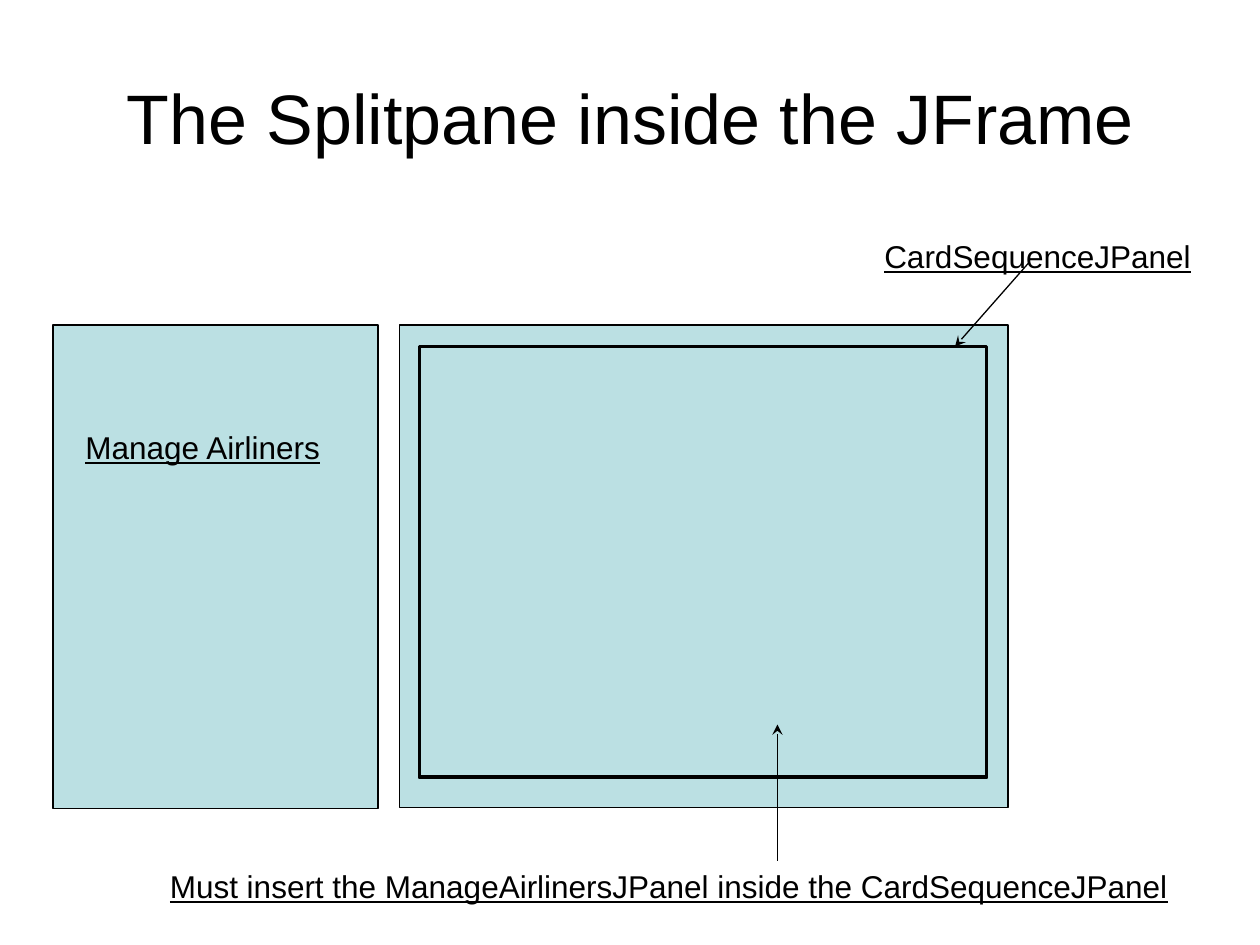
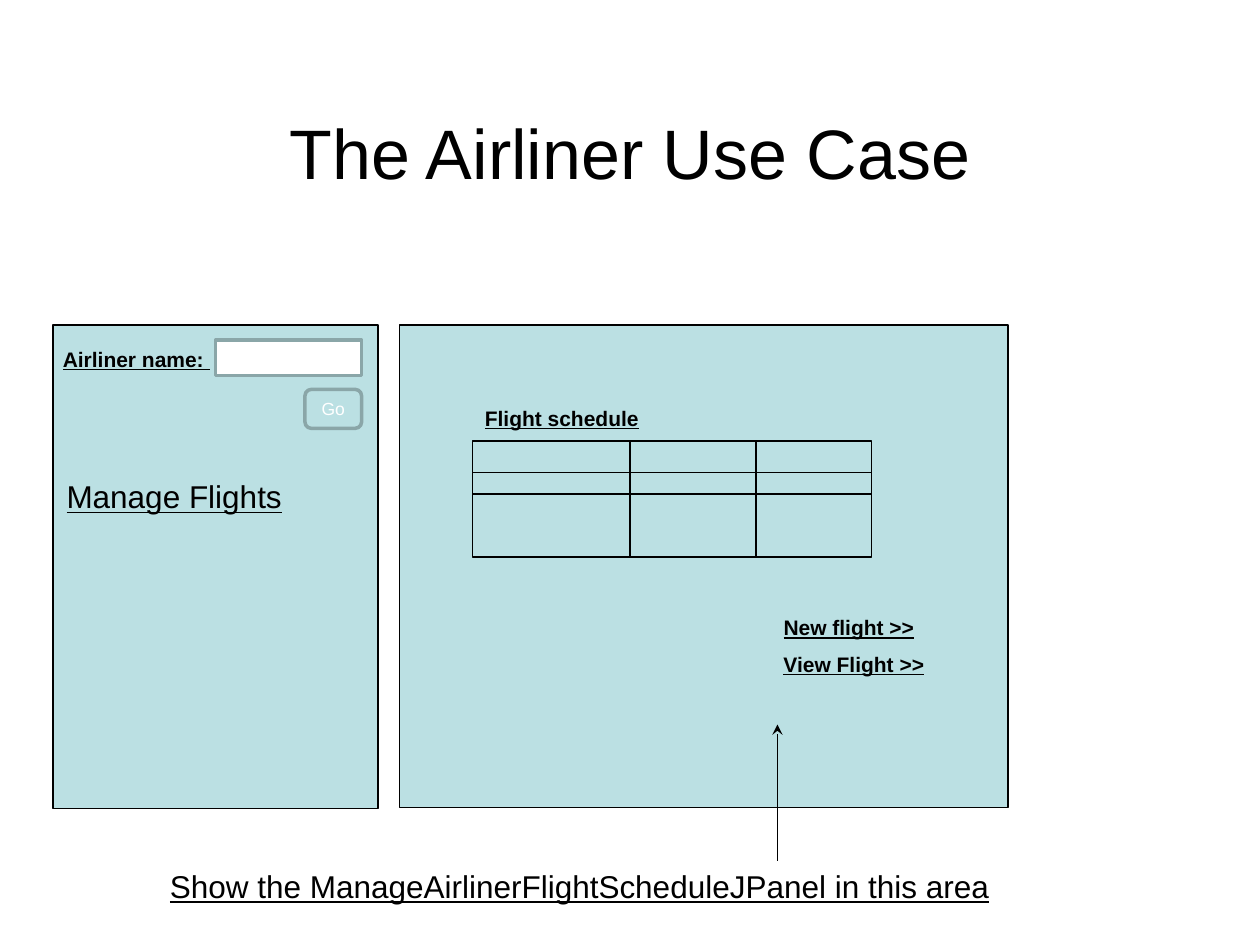
import dataclasses

import pptx
import pptx.dml.color
import pptx.enum.shapes
import pptx.enum.text
import pptx.oxml.ns
import pptx.util
from lxml import etree

Inches = pptx.util.Inches
Pt = pptx.util.Pt
Shape = pptx.enum.shapes.MSO_SHAPE
Align = pptx.enum.text.PP_ALIGN
Anchor = pptx.enum.text.MSO_ANCHOR
qn = pptx.oxml.ns.qn


@dataclasses.dataclass(frozen=True)
class Theme:
    font: str = "Arial"
    ink: str = "000000"
    paper: str = "FFFFFF"
    pane: str = "BBE0E3"
    control: str = "8AA6A8"
    title_size: float = 40
    label_size: float = 18
    field_size: float = 12
    button_size: float = 10
    thin: float = 0.75
    control_line: float = 2
    thick: float = 2.25


class Deck:
    """Draws user interface sketches in one style on the current slide."""

    def __init__(self, theme):
        self.theme = theme
        self.presentation = pptx.Presentation()
        self.presentation.slide_width = Inches(10)
        self.presentation.slide_height = Inches(7.5)
        self.slide = None

    def color(self, value):
        return pptx.dml.color.RGBColor.from_string(value)

    def set_text(self, frame, text, size, color, align=Align.LEFT, bold=False, underline=False):
        paragraph = frame.paragraphs[0]
        paragraph.text = text
        paragraph.alignment = align
        font = paragraph.font
        font.name = self.theme.font
        font.size = Pt(size)
        font.bold = bold
        font.underline = underline
        font.color.rgb = self.color(color)

    def add_slide(self, title, title_top):
        self.slide = self.presentation.slides.add_slide(self.presentation.slide_layouts[6])
        heading = self.slide.shapes.add_textbox(Inches(0.5), Inches(title_top), Inches(9), Inches(1.25))
        frame = heading.text_frame
        frame.word_wrap = True
        frame.vertical_anchor = Anchor.MIDDLE
        self.set_text(frame, title, self.theme.title_size, self.theme.ink, Align.CENTER)

    def label(self, text, left, top, width, height=0.4, size=None, bold=False):
        box = self.slide.shapes.add_textbox(Inches(left), Inches(top), Inches(width), Inches(height))
        frame = box.text_frame
        frame.word_wrap = False
        frame.auto_size = pptx.enum.text.MSO_AUTO_SIZE.SHAPE_TO_FIT_TEXT
        self.set_text(frame, text, size or self.theme.label_size, self.theme.ink, bold=bold, underline=True)

    def field_label(self, text, left, top, width):
        self.label(text, left, top, width, 0.3, self.theme.field_size, bold=True)

    def panel(self, left, top, width, height, fill=None, line=None, weight=None, kind=Shape.RECTANGLE):
        panel = self.slide.shapes.add_shape(kind, Inches(left), Inches(top), Inches(width), Inches(height))
        panel.shadow.inherit = False
        panel.fill.solid()
        panel.fill.fore_color.rgb = self.color(fill or self.theme.pane)
        panel.line.color.rgb = self.color(line or self.theme.ink)
        panel.line.width = Pt(weight or self.theme.thin)
        return panel

    def control(self, left, top, width, height, fill, kind=Shape.RECTANGLE):
        return self.panel(left, top, width, height, fill, self.theme.control, self.theme.control_line, kind)

    def button(self, text, left, top, width, height):
        button = self.control(left, top, width, height, self.theme.pane, Shape.ROUNDED_RECTANGLE)
        button.text_frame.vertical_anchor = Anchor.MIDDLE
        self.set_text(button.text_frame, text, self.theme.button_size, self.theme.paper, Align.CENTER)

    def line(self, start, end, arrow=False):
        connector = self.slide.shapes.add_connector(
            pptx.enum.shapes.MSO_CONNECTOR.STRAIGHT, *map(Inches, (*start, *end)))
        connector.line.color.rgb = self.color(self.theme.ink)
        connector.line.width = Pt(self.theme.thin)
        properties = connector.element.spPr
        if arrow:
            etree.SubElement(properties.find(qn("a:ln")), qn("a:tailEnd"), type="stealth")
        etree.SubElement(properties, qn("a:effectLst"))

    def split_pane(self):
        self.panel(0.42, 2.58, 2.58, 3.84)
        self.panel(3.17, 2.58, 4.83, 3.83)

    def instruction(self, text, width):
        self.label(text, 1.25, 6.83, width)
        self.line((6.17, 6.83), (6.17, 5.75), arrow=True)

    def grid(self, left, top, right, bottom, row_edges, column_edges):
        self.panel(left, top, right - left, bottom - top)
        for y in row_edges:
            self.line((left, y), (right, y))
        for x in column_edges:
            self.line((x, top), (x, bottom))


def build_split_pane(deck):
    deck.add_slide("The Splitpane inside the JFrame", 0.3)
    deck.split_pane()
    deck.label("Manage Airliners", 0.58, 3.35, 2.08)
    deck.panel(3.33, 2.75, 4.5, 3.42, weight=deck.theme.thick)
    deck.label("CardSequenceJPanel", 6.92, 1.83, 2.63)
    deck.line((8.17, 2.08), (7.58, 2.75), arrow=True)
    deck.instruction("Must insert the ManageAirlinersJPanel inside the CardSequenceJPanel", 8.2)


def build_use_case(deck):
    deck.add_slide("The Airliner Use Case", 0.58)
    deck.split_pane()
    deck.label("Manage Flights", 0.43, 3.74, 1.93)
    deck.instruction("Show the ManageAirlinerFlightScheduleJPanel in this area", 6.77)
    deck.grid(3.75, 3.5, 6.92, 4.42, row_edges=(3.75, 3.92), column_edges=(5, 6))
    for text, left, top, width in (
        ("New flight >>", 6.12, 4.83, 1.25),
        ("View Flight >>", 6.12, 5.12, 1.33),
        ("Flight schedule", 3.75, 3.17, 1.44),
        ("Airliner name: ", 0.4, 2.7, 1.38),
    ):
        deck.field_label(text, left, top, width)
    deck.control(1.71, 2.7, 1.16, 0.28, deck.theme.paper)
    deck.button("Go", 2.42, 3.09, 0.45, 0.31)


deck = Deck(Theme())
build_split_pane(deck)
build_use_case(deck)
deck.presentation.save("out.pptx")
